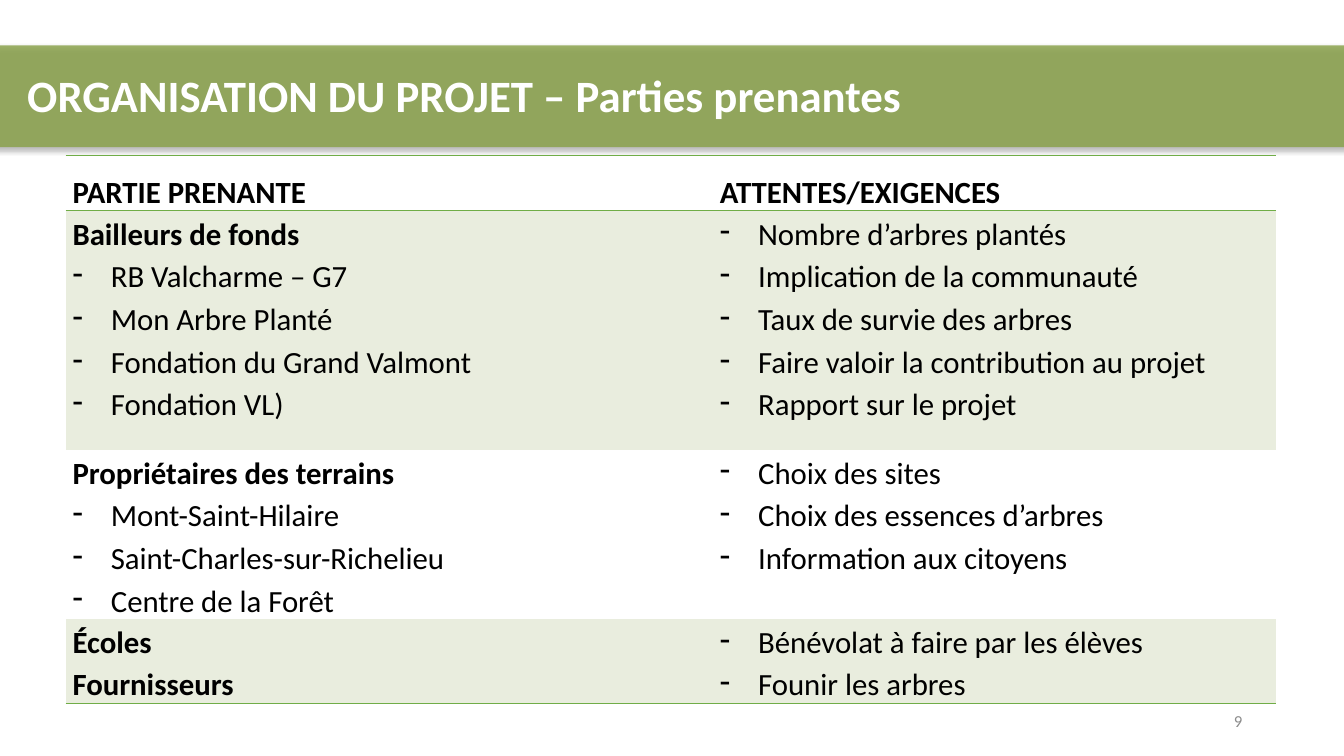
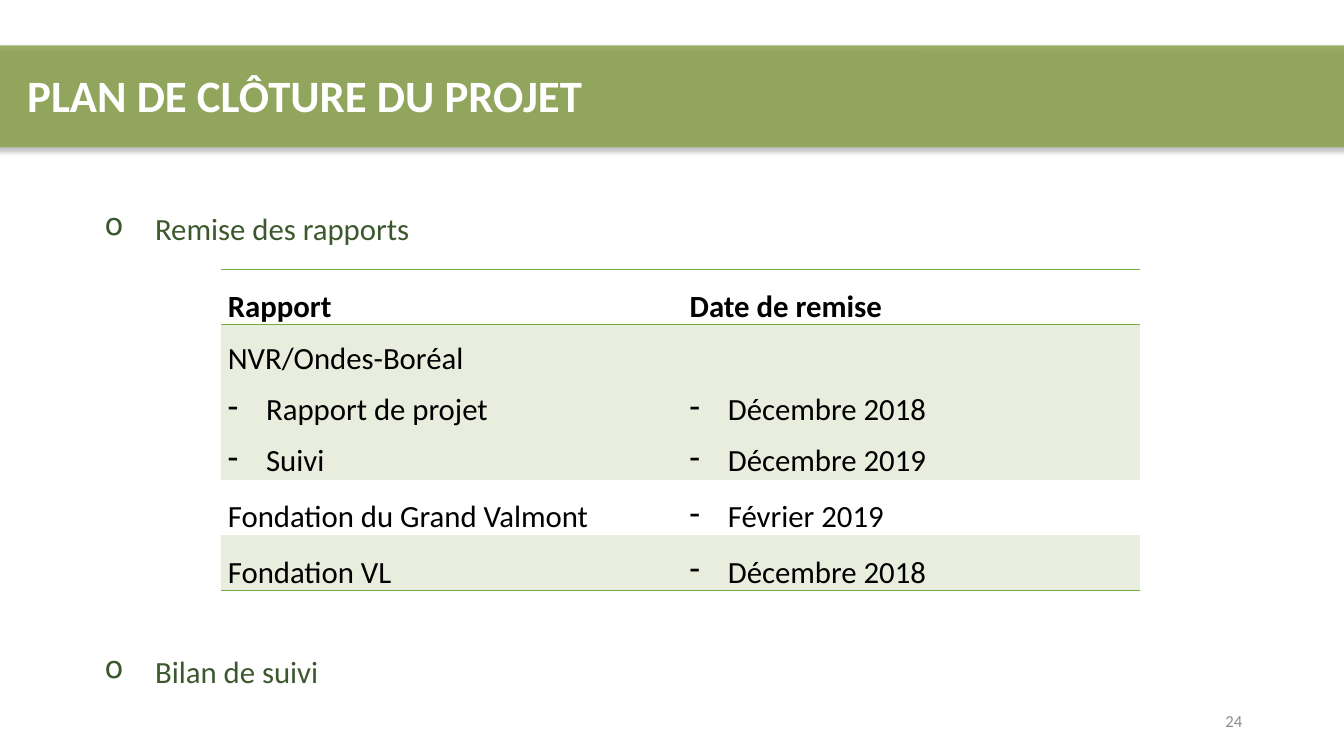
from pptx import Presentation
from pptx.dml.color import RGBColor
from pptx.enum.shapes import MSO_SHAPE
from pptx.enum.text import MSO_ANCHOR, MSO_AUTO_SIZE, PP_ALIGN
from pptx.oxml import parse_xml
from pptx.oxml.ns import nsdecls, qn
from pptx.util import Inches, Pt

LEFT, RIGHT, JUSTIFY = PP_ALIGN.LEFT, PP_ALIGN.RIGHT, PP_ALIGN.JUSTIFY
TOP, MIDDLE, BOTTOM = MSO_ANCHOR.TOP, MSO_ANCHOR.MIDDLE, MSO_ANCHOR.BOTTOM
NO_AUTOFIT = MSO_AUTO_SIZE.NONE
TITLE_ONLY = 5
FONT = "Calibri"
NO_TABLE_STYLE = "{2D5ABB26-0587-4C30-8999-92F81FD0307C}"

COLORS = {
    "band": "87A045",
    "title": "FFFFFF",
    "text": "000000",
    "bullets": "3C582D",
    "number": "8C8C8C",
    "rule": "70AD47",
    "stripe": "E9EDDE",
}

TITLE_PARA = {"alignment": LEFT, "line_spacing": Pt(35)}
TITLE_FONT = {"size": Pt(32), "bold": True}
NUMBER_PARA = {"alignment": RIGHT}
NUMBER_FONT = {"size": Pt(12)}

SLIDES = [
    {
        "title": "ORGANISATION DU PROJET – Parties prenantes",
        "number": "9",
        "bullets": [],
        "at": (0.65, 1.54),
        "cols": (6.42, 5.59),
        "anchor": TOP,
        "bold_groups": True,
        "after": 0,
        "rows": [
            (0.55, 1.5, False, ["PARTIE PRENANTE"], ["ATTENTES/EXIGENCES"]),
            (2.37, 1.14, True,
             ["Bailleurs de fonds", "- RB Valcharme – G7", "- Mon Arbre Planté",
              "- Fondation du Grand Valmont", "- Fondation VL)"],
             ["- Nombre d’arbres plantés", "- Implication de la communauté",
              "- Taux de survie des arbres",
              "- Faire valoir la contribution au projet",
              "- Rapport sur le projet"]),
            (1.68, 1.14, False,
             ["Propriétaires des terrains", "- Mont-Saint-Hilaire",
              "- Saint-Charles-sur-Richelieu", "- Centre de la Forêt"],
             ["- Choix des sites", "- Choix des essences d’arbres",
              "- Information aux citoyens"]),
            (0.42, 1.14, True, ["Écoles"], ["- Bénévolat à faire par les élèves"]),
            (0.42, 1.14, True, ["Fournisseurs"], ["- Founir les arbres"]),
        ],
    },
    {
        "title": "PLAN DE CLÔTURE DU PROJET",
        "number": "24",
        "bullets": [("Remise des rapports", 0), ("Bilan de suivi", 277)],
        "at": (2.19, 2.67),
        "cols": (4.58, 4.54),
        "anchor": BOTTOM,
        "bold_groups": False,
        "after": 6,
        "rows": [
            (0.55, 1.5, False, ["Rapport"], ["Date de remise"]),
            (1.54, 1.14, True,
             ["NVR/Ondes-Boréal", "- Rapport de projet", "- Suivi"],
             ["- Décembre 2018", "- Décembre 2019"]),
            (0.55, 1.5, False, ["Fondation du Grand Valmont"], ["- Février 2019"]),
            (0.55, 1.5, True, ["Fondation VL"], ["- Décembre 2018"]),
        ],
    },
]


def write(p, text, color, para, font):
    for name, value in para.items():
        setattr(p, name, value)
    r = p.add_run()
    r.text = text
    r.font.name = FONT
    r.font.color.rgb = RGBColor.from_string(COLORS[color])
    for name, value in font.items():
        setattr(r.font, name, value)


def add_bullet(p, char, indent):
    pPr = p._p.get_or_add_pPr()
    pPr.set("marL", str(Inches(indent)))
    pPr.set("indent", str(-Inches(indent)))
    pPr.append(parse_xml(f'<a:buChar {nsdecls("a")} char="{char}"/>'))


prs = Presentation()
prs.slide_width, prs.slide_height = Inches(13.33), Inches(7.5)
layout = prs.slide_layouts[TITLE_ONLY]

for content in SLIDES:
    s = prs.slides.add_slide(layout)

    band = s.shapes.add_shape(MSO_SHAPE.ROUNDED_RECTANGLE, Inches(-0.19),
                              Inches(0.45), Inches(13.7), Inches(1.01))
    band.fill.solid()
    band.fill.fore_color.rgb = RGBColor.from_string(COLORS["band"])
    band.line.fill.background()
    band.element.find(".//" + qn("a:srgbClr")).append(
        parse_xml(f'<a:alpha {nsdecls("a")} val="80000"/>'))
    band.element.spPr.append(parse_xml(
        f'<a:effectLst {nsdecls("a")}><a:outerShdw blurRad="{Pt(3.5)}" '
        f'dist="{Pt(2.2)}" dir="5400000" rotWithShape="0"><a:srgbClr val="000000">'
        '<a:alpha val="32000"/></a:srgbClr></a:outerShdw></a:effectLst>'))

    title = s.shapes.title
    title.element.addprevious(band.element)
    title.left, title.top = Inches(0.17), Inches(0.67)
    title.width, title.height = Inches(13.16), Inches(0.59)
    tf = title.text_frame
    tf.auto_size, tf.vertical_anchor = NO_AUTOFIT, TOP
    write(tf.paragraphs[0], content["title"], "title", TITLE_PARA, TITLE_FONT)

    number = s.shapes.add_textbox(Inches(9.42), Inches(6.95), Inches(3), Inches(0.4))
    tf = number.text_frame
    tf.word_wrap, tf.vertical_anchor = True, MIDDLE
    write(tf.paragraphs[0], content["number"], "number", NUMBER_PARA, NUMBER_FONT)

    if content["bullets"]:
        box = s.shapes.add_textbox(Inches(0.94), Inches(1.85), Inches(10.53), Inches(5.1))
        tf = box.text_frame
        tf.word_wrap = True
        for i, (text, before) in enumerate(content["bullets"]):
            p = tf.add_paragraph() if i else tf.paragraphs[0]
            para = {"line_spacing": 1.5, "space_before": Pt(before)}
            write(p, text, "bullets", para, {"size": Pt(22)})
            add_bullet(p, "o", 0.5)

    rows, cols = content["rows"], content["cols"]
    left, top = content["at"]
    frame = s.shapes.add_table(len(rows), len(cols), Inches(left), Inches(top),
                               Inches(sum(cols)), Inches(sum(row[0] for row in rows)))
    frame.element.find(".//" + qn("a:tableStyleId")).text = NO_TABLE_STYLE
    table = frame.table
    table.first_row = table.horz_banding = False
    for column, width in zip(table.columns, cols):
        column.width = Inches(width)

    for i, (height, spacing, striped, *texts) in enumerate(rows):
        table.rows[i].height = Inches(height)
        header, last = i == 0, i == len(rows) - 1
        after = 6 if header else content["after"]
        para = {"alignment": JUSTIFY, "line_spacing": spacing, "space_after": Pt(after)}
        sides = ["lnB", "lnT"] if header else ["lnB"] if last else []
        for j, lines in enumerate(texts):
            cell = table.cell(i, j)
            cell.margin_left = cell.margin_right = Inches(0.07)
            cell.margin_top = cell.margin_bottom = 0
            cell.vertical_anchor = content["anchor"]
            if striped:
                cell.fill.solid()
                cell.fill.fore_color.rgb = RGBColor.from_string(COLORS["stripe"])
            else:
                cell.fill.background()
            for side in sides:
                cell._tc.get_or_add_tcPr().insert(0, parse_xml(
                    f'<a:{side} {nsdecls("a")} w="{Pt(1)}"><a:solidFill>'
                    f'<a:srgbClr val="{COLORS["rule"]}"/></a:solidFill></a:{side}>'))
            for k, line in enumerate(lines):
                p = cell.text_frame.add_paragraph() if k else cell.text_frame.paragraphs[0]
                bulleted = line.startswith("- ")
                bold = header or (content["bold_groups"] and not bulleted)
                write(p, line.removeprefix("- "), "text", para,
                      {"size": Pt(22), "bold": bold})
                if bulleted:
                    add_bullet(p, "-", 0.38)

prs.save("out.pptx")
